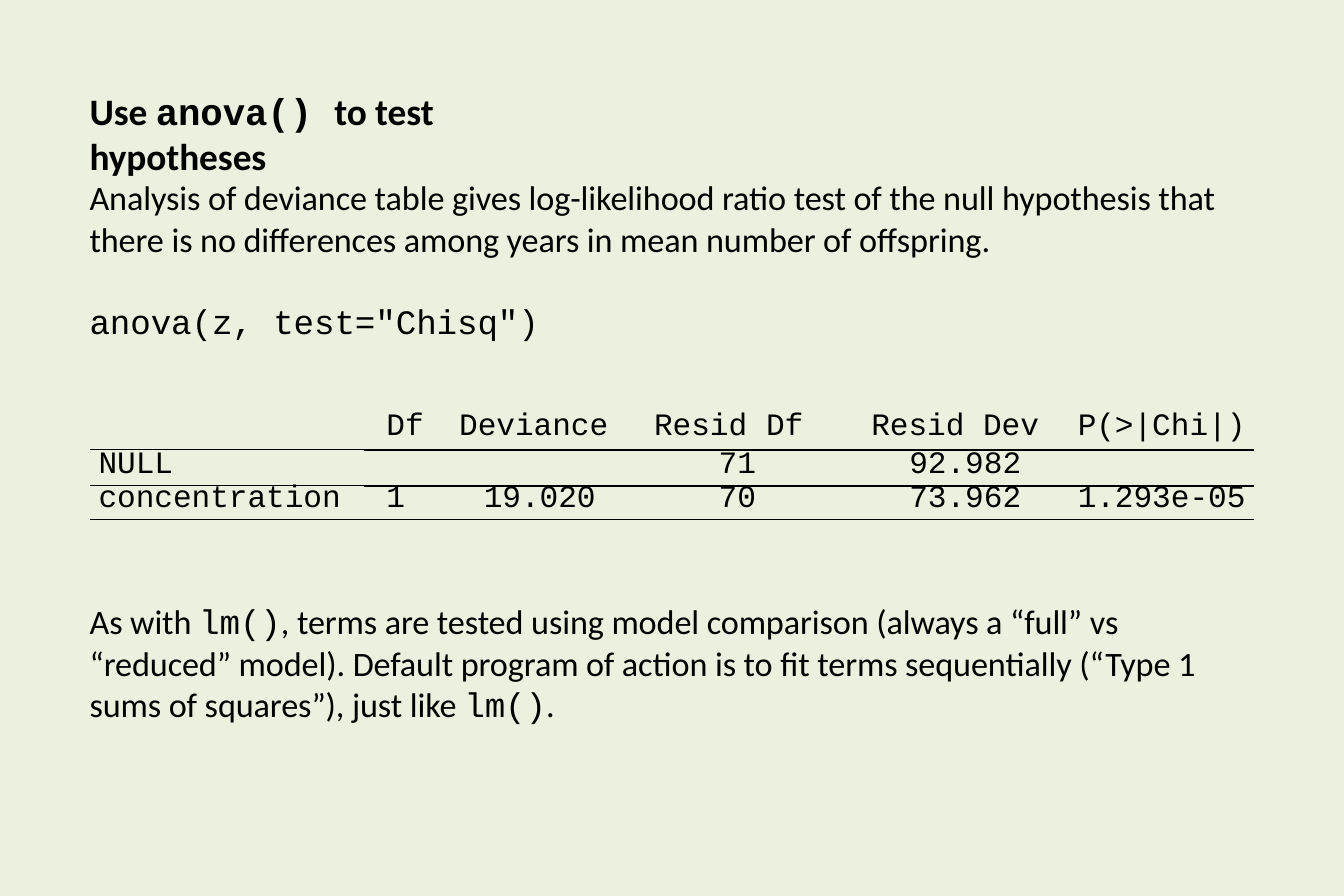
from lxml.etree import SubElement
from pptx import Presentation
from pptx.dml.color import RGBColor
from pptx.enum.text import MSO_ANCHOR, MSO_AUTO_SIZE, PP_ALIGN
from pptx.oxml.ns import qn
from pptx.util import Inches, Pt

BACKGROUND = RGBColor(0xEB, 0xF1, 0xDE)
BLACK = RGBColor(0, 0, 0)
BODY_FONT = "Calibri"
CODE_FONT = "Courier New"


def add_text(paragraph, text, size=22, font=BODY_FONT, bold=False):
    run = paragraph.add_run()
    run.text = text
    run.font.size = Pt(size)
    run.font.name = font
    run.font.bold = bold
    run.font.color.rgb = BLACK
    run._r.get_or_add_rPr().set("spc", "-5")


def prepare_frame(shape, left, top, width, height):
    shape.left, shape.top = Inches(left), Inches(top)
    shape.width, shape.height = Inches(width), Inches(height)
    frame = shape.text_frame
    frame.word_wrap = True
    frame.auto_size = MSO_AUTO_SIZE.NONE
    frame.vertical_anchor = MSO_ANCHOR.TOP
    frame.margin_left = frame.margin_right = frame.margin_bottom = 0
    frame.margin_top = Inches(0.01)
    frame.paragraphs[0].alignment = PP_ALIGN.LEFT
    return frame


presentation = Presentation()
presentation.slide_width = Inches(12)
presentation.slide_height = Inches(8)
slide = presentation.slides.add_slide(presentation.slide_layouts[5])
slide.background.fill.solid()
slide.background.fill.fore_color.rgb = BACKGROUND

title = prepare_frame(slide.shapes.title, 0.8, 0.78, 4.66, 0.82).paragraphs[0]
for text, font in [("Use ", BODY_FONT), ("anova() ", CODE_FONT), ("to test hypotheses", BODY_FONT)]:
    add_text(title, text, size=24, font=font, bold=True)

explanation_box = slide.shapes.add_textbox(0, 0, 0, 0)
explanation = prepare_frame(explanation_box, 0.8, 1.56, 10.2, 1.49)
explanation.paragraphs[0].line_spacing = 1.02
add_text(
    explanation.paragraphs[0],
    "Analysis of deviance table gives log-likelihood ratio test of the null hypothesis that "
    "there is no differences among years in mean number of offspring.",
)
call = explanation.add_paragraph()
call.space_before = Pt(26)
add_text(call, 'anova(z, test="Chisq")', font=CODE_FONT)

column_widths = [2.45, 0.69, 1.7, 1.16, 0.68, 1.97, 1.75]
row_heights = [0.28, 0.32, 0.3]
line_spacings = [19, 21.3, 20.1]
cell_texts = [
    ["", "Df", "Deviance", "Resid", "Df", "Resid Dev", "P(>|Chi|)"],
    ["NULL", "", "", "71", "", "92.982", ""],
    ["concentration", "1", "19.020", "70", "", "73.962", "1.293e-05"],
]
header_indents = [0.08, 0.2, 0.16, 0.2, 0.04, 0.3, 0]
value_indents = [0.08, 0.2, 0.38, 0, 0, 0.64, 0]
right_margins = {3: 0.05, 6: 0.08}

frame = slide.shapes.add_table(
    3, 7, Inches(0.8), Inches(3.71), Inches(sum(column_widths)), Inches(sum(row_heights))
)
table = frame.table
table.first_row = table.horz_banding = False
table._tbl.tblPr.find(qn("a:tableStyleId")).text = "{2D5ABB26-0587-4C30-8999-92F81FD0307C}"
for column, width in zip(table.columns, column_widths):
    column.width = Inches(width)

for row, texts in enumerate(cell_texts):
    table.rows[row].height = Inches(row_heights[row])
    indents = value_indents if row else header_indents
    for column, text in enumerate(texts):
        cell = table.cell(row, column)
        cell.margin_top = cell.margin_bottom = 0
        cell.margin_left = Inches(indents[column])
        cell.margin_right = 0
        paragraph = cell.text_frame.paragraphs[0]
        paragraph.line_spacing = Pt(line_spacings[row])
        if column in right_margins and indents[column] == 0:
            paragraph.alignment = PP_ALIGN.RIGHT
            cell.margin_right = Inches(right_margins[column])
        if text:
            add_text(paragraph, text, size=20, font=CODE_FONT)

        inner_width = 1.5 if column else 0.5
        borders = {"a:lnB": inner_width if row < 2 else 0.5}
        if row:
            borders = {"a:lnT": inner_width, **borders}
        properties = cell._tc.get_or_add_tcPr()
        for side, width in borders.items():
            line = SubElement(properties, qn(side), w=str(Pt(width)))
            line_fill = SubElement(line, qn("a:solidFill"))
            SubElement(line_fill, qn("a:srgbClr"), val=str(BLACK))
        cell.fill.background()

comparison_box = slide.shapes.add_textbox(0, 0, 0, 0)
comparison = prepare_frame(comparison_box, 0.8, 5.34, 10.01, 1.14).paragraphs[0]
comparison.line_spacing = 1.02
for text, font in [
    ("As with ", BODY_FONT),
    ("lm()", CODE_FONT),
    (
        ", terms are tested using model comparison (always a “full” vs “reduced” model). "
        "Default program of action is to fit terms sequentially (“Type 1 sums of squares”), just like ",
        BODY_FONT,
    ),
    ("lm()", CODE_FONT),
    (".", BODY_FONT),
]:
    add_text(comparison, text, font=font)

presentation.save("out.pptx")
